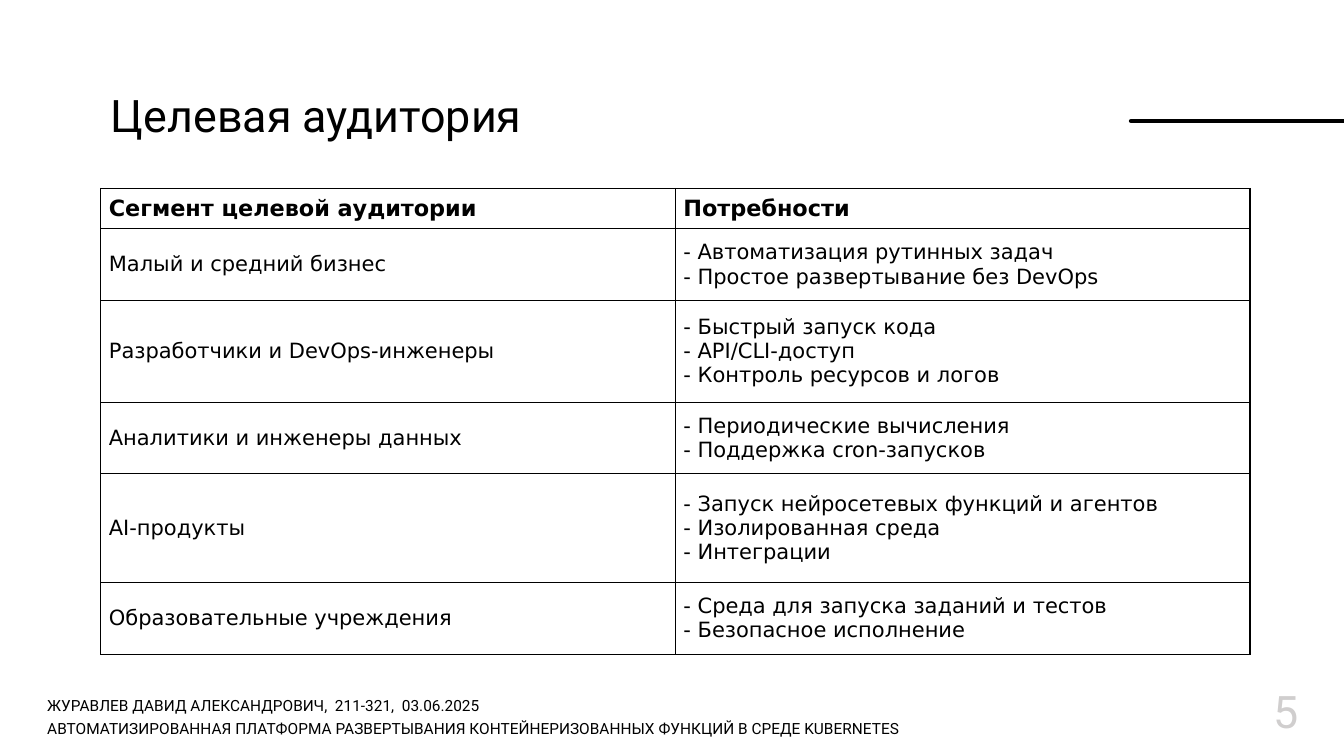
"""Build the target audience slide."""
from dataclasses import dataclass

from lxml import etree
from pptx import Presentation
from pptx import util as u
from pptx.dml.color import RGBColor
from pptx.enum import shapes, text
from pptx.oxml import ns

PX = 9144
HEADINGS = ("Сегмент целевой аудитории", "Потребности")
SEGMENTS = (
    ("Малый и средний бизнес", 71,
     ("Автоматизация рутинных задач", "Простое развертывание без DevOps")),
    ("Разработчики и DevOps-инженеры", 101,
     ("Быстрый запуск кода", "API/CLI-доступ", "Контроль ресурсов и логов")),
    ("Аналитики и инженеры данных", 71,
     ("Периодические вычисления", "Поддержка cron-запусков")),
    ("AI-продукты", 108,
     ("Запуск нейросетевых функций и агентов", "Изолированная среда", "Интеграции")),
    ("Образовательные учреждения", 71,
     ("Среда для запуска заданий и тестов", "Безопасное исполнение")),
)
FOOTER = (
    "ЖУРАВЛЕВ ДАВИД АЛЕКСАНДРОВИЧ,  211-321,  03.06.2025\n"
    "АВТОМАТИЗИРОВАННАЯ ПЛАТФОРМА РАЗВЕРТЫВАНИЯ КОНТЕЙНЕРИЗОВАННЫХ ФУНКЦИЙ В СРЕДЕ KUBERNETES"
)


@dataclass(frozen=True)
class Theme:
    """Colours, fonts and type sizes of the slide."""
    ink: str = "000000"
    muted: str = "D0CECE"
    font: str = "Roboto"
    table_font: str = "DejaVu Sans"
    title: int = 32
    heading: int = 16
    body: int = 15
    footer: int = 11
    footer_line: int = 16
    rule: int = 3
    border: int = 1


THEME = Theme()


def px(length):
    """Turn pixels into EMU."""
    return u.Emu(length * PX)


def write(frame, words, size, color=THEME.ink, font=THEME.font, bold=False):
    """Fill a text frame and format all its runs."""
    frame.text = words
    for para in frame.paragraphs:
        para.alignment = text.PP_ALIGN.LEFT
        for span in para.runs:
            span.font.name = font
            span.font.size = u.Pt(size)
            span.font.bold = bold
            span.font.color.rgb = RGBColor.from_string(color)


def add_title(page, words, left, top, width, height):
    """Place and format the title placeholder."""
    title = page.shapes.title
    title.left, title.top, title.width, title.height = map(px, (left, top, width, height))
    title.text_frame.vertical_anchor = text.MSO_ANCHOR.TOP
    title.text_frame.auto_size = text.MSO_AUTO_SIZE.NONE
    write(title.text_frame, words, THEME.title)


def add_text(page, words, area, size, color=THEME.ink, anchor=text.MSO_ANCHOR.TOP):
    """Add a wrapped text box and return its frame."""
    frame = page.shapes.add_textbox(*map(px, area)).text_frame
    frame.word_wrap = True
    frame.vertical_anchor = anchor
    write(frame, words, size, color)
    return frame


def add_rule(page, left, right, y):
    """Add a horizontal line with round ends."""
    rule = page.shapes.add_connector(
        shapes.MSO_CONNECTOR.STRAIGHT, px(left), px(y), px(right), px(y))
    rule.line.color.rgb = RGBColor.from_string(THEME.ink)
    rule.line.width = u.Pt(THEME.rule)
    rule.line._get_or_add_ln().set("cap", "rnd")
    etree.SubElement(rule._element.spPr, ns.qn("a:effectLst"))


def set_borders(cell):
    """Draw the four borders of a table cell."""
    props = cell._tc.get_or_add_tcPr()
    for index, side in enumerate(("lnL", "lnR", "lnT", "lnB")):
        line = etree.Element(ns.qn(f"a:{side}"), w=str(u.Pt(THEME.border)))
        fill = etree.SubElement(line, ns.qn("a:solidFill"))
        etree.SubElement(fill, ns.qn("a:srgbClr"), val=THEME.ink)
        props.insert(index, line)


def fill_cell(cell, words, size, bold):
    """Write and format one table cell."""
    write(cell.text_frame, words, size, font=THEME.table_font, bold=bold)
    cell.vertical_anchor = text.MSO_ANCHOR.MIDDLE
    cell.margin_left = cell.margin_right = px(8)
    cell.margin_top = cell.margin_bottom = px(4)
    cell.fill.background()
    set_borders(cell)


def add_segments(page, left, top, column_width, heading_height):
    """Add the table of audience segments and their needs."""
    rows = [(heading_height, HEADINGS)]
    for name, height, needs in SEGMENTS:
        rows.append((height, (name, "\v".join(f"- {need}" for need in needs))))
    total = sum(height for height, _ in rows)
    table = page.shapes.add_table(
        len(rows), len(HEADINGS), px(left), px(top),
        px(column_width * len(HEADINGS)), px(total)).table
    table.horz_banding = False
    for row, (height, entries) in enumerate(rows):
        table.rows[row].height = px(height)
        size = THEME.body if row else THEME.heading
        for column, words in enumerate(entries):
            fill_cell(table.cell(row, column), words, size, row == 0)


def main():
    """Build and save the deck."""
    deck = Presentation()
    deck.slide_width, deck.slide_height = u.Emu(12192000), px(750)
    page = deck.slides.add_slide(deck.slide_layouts[5])
    add_rule(page, 1122, 1339, 120)
    add_text(page, "5", (1254, 671, 45, 67), THEME.title, THEME.muted,
             text.MSO_ANCHOR.MIDDLE)
    add_title(page, "Целевая аудитория", 100, 82, 1004, 64)
    add_segments(page, 100, 187, 570, 40)
    footer = add_text(page, FOOTER, (37, 682, 922, 53), THEME.footer)
    for para in footer.paragraphs:
        para.line_spacing = u.Pt(THEME.footer_line)
    deck.save("out.pptx")


if __name__ == "__main__":
    main()
